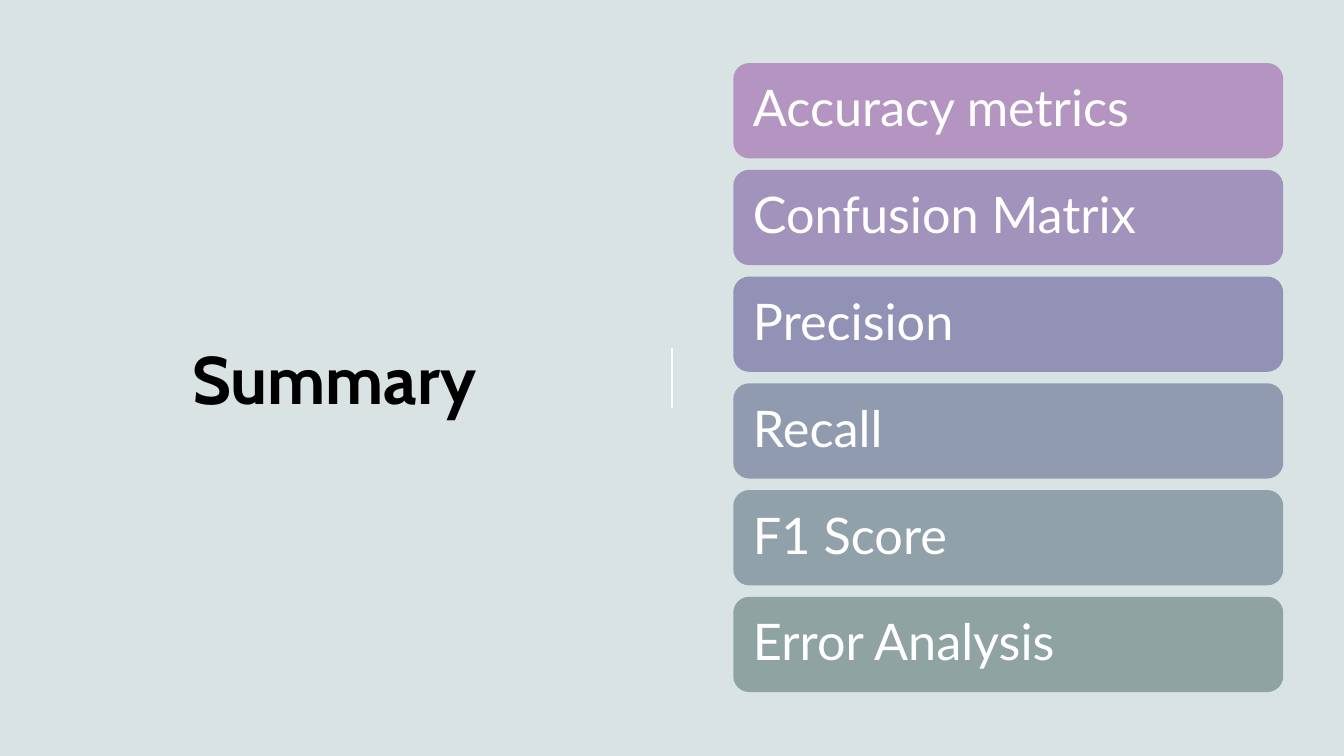
import pptx
import pptx.util
import pptx.dml.color
import pptx.enum.shapes
import pptx.enum.text
from dataclasses import dataclass
from lxml import etree
from pptx.util import Cm, Pt

TITLE = "Summary"
TOPICS = [
    ("Accuracy metrics", "B495C2"),
    ("Confusion Matrix", "A293BC"),
    ("Precision", "9292B6"),
    ("Recall", "919BB0"),
    ("F1 Score", "90A1AA"),
    ("Error Analysis", "8FA3A3"),
]


@dataclass(frozen=True)
class Theme:
    background: str = "DAE3E3"
    title: str = "000000"
    light: str = "FFFFFF"
    title_font: str = "Cabin"
    body_font: str = "Lato"
    title_size: int = 48
    body_size: int = 36


THEME = Theme()
SLIDE_W, SLIDE_H = 33.87, 19.05
BAR_LEFT, BAR_TOP, BAR_W, BAR_H, BAR_GAP = 18.48, 1.59, 13.86, 2.4, 0.29
BAR_INSET = 0.38
DIVIDER_H = 1.52


def rgb(value):
    return pptx.dml.color.RGBColor.from_string(value)


def set_font(p, name, size, color, bold=False):
    p.font.name = name
    p.font.size = Pt(size)
    p.font.color.rgb = rgb(color)
    p.font.bold = bold


def add_title(s):
    title = s.shapes.title
    title.left, title.top, title.width, title.height = Cm(3), Cm(3), Cm(10.85), Cm(13.03)
    tf = title.text_frame
    tf.text = TITLE
    tf.word_wrap = True
    tf.vertical_anchor = pptx.enum.text.MSO_ANCHOR.MIDDLE
    p = tf.paragraphs[0]
    p.alignment = pptx.enum.text.PP_ALIGN.CENTER
    set_font(p, THEME.title_font, THEME.title_size, THEME.title, bold=True)


def add_divider(s):
    x, top = Cm(SLIDE_W / 2), Cm((SLIDE_H - DIVIDER_H) / 2)
    line = s.shapes.add_connector(
        pptx.enum.shapes.MSO_CONNECTOR.STRAIGHT, x, top, x, top + Cm(DIVIDER_H))
    line.line.color.rgb = rgb(THEME.light)
    line.line.width = Pt(1)
    etree.SubElement(line._element.spPr, pptx.oxml.ns.qn("a:effectLst"))


def add_bar(s, row, topic, color):
    top = BAR_TOP + row * (BAR_H + BAR_GAP)
    sp = s.shapes.add_shape(
        pptx.enum.shapes.MSO_SHAPE.ROUNDED_RECTANGLE,
        Cm(BAR_LEFT), Cm(top), Cm(BAR_W), Cm(BAR_H))
    sp.shadow.inherit = False
    sp.fill.solid()
    sp.fill.fore_color.rgb = rgb(color)
    sp.line.fill.background()
    tf = sp.text_frame
    tf.text = topic
    tf.word_wrap = True
    tf.vertical_anchor = pptx.enum.text.MSO_ANCHOR.MIDDLE
    tf.margin_left = tf.margin_right = tf.margin_top = tf.margin_bottom = Cm(BAR_INSET)
    p = tf.paragraphs[0]
    p.alignment = pptx.enum.text.PP_ALIGN.LEFT
    p.line_spacing = 0.9
    set_font(p, THEME.body_font, THEME.body_size, THEME.light)


def main():
    prs = pptx.Presentation()
    prs.slide_width, prs.slide_height = Cm(SLIDE_W), Cm(SLIDE_H)
    s = prs.slides.add_slide(prs.slide_layouts.get_by_name("Title Only"))
    s.background.fill.solid()
    s.background.fill.fore_color.rgb = rgb(THEME.background)
    add_title(s)
    add_divider(s)
    for row, (topic, color) in enumerate(TOPICS):
        add_bar(s, row, topic, color)
    prs.save("out.pptx")


if __name__ == "__main__":
    main()
